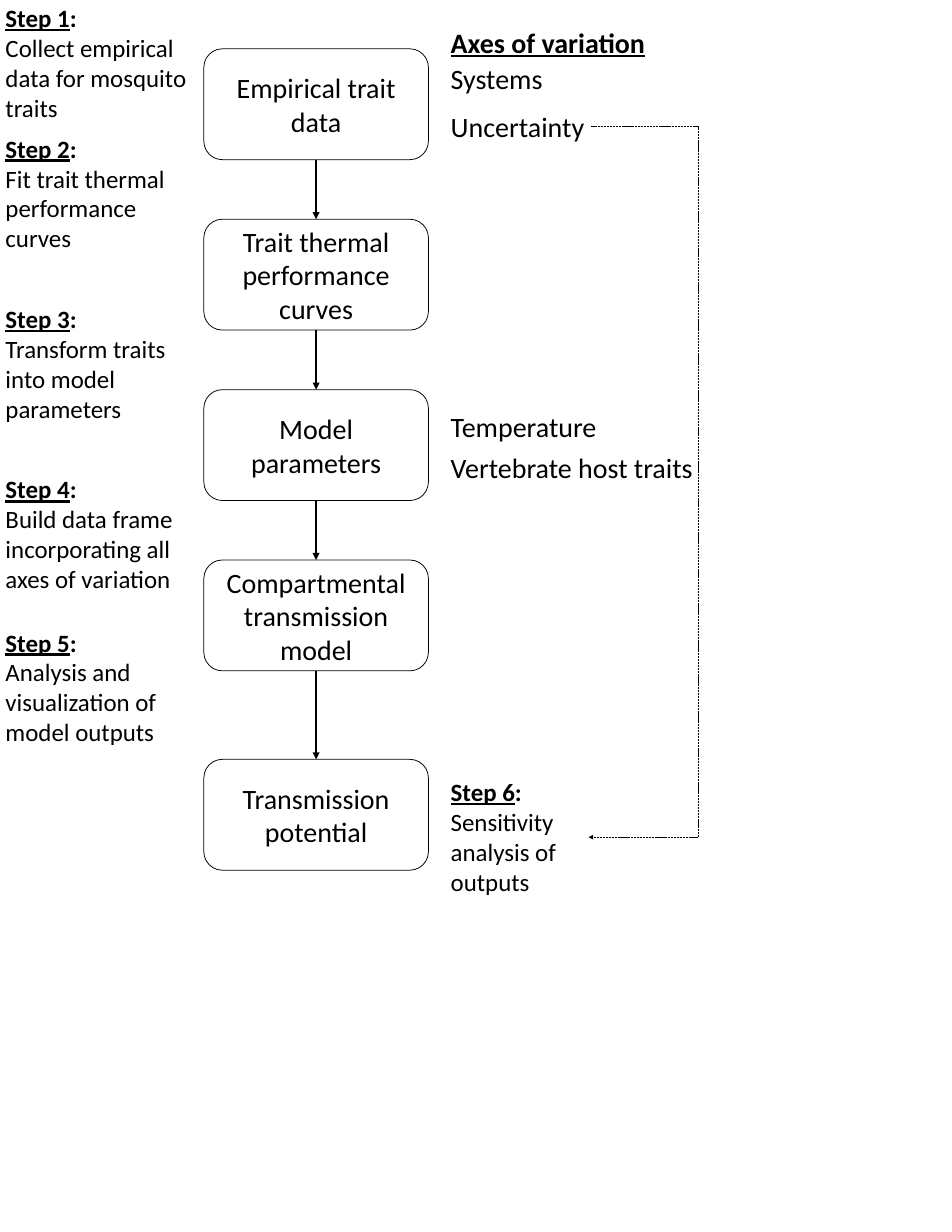
from dataclasses import dataclass

import pptx
import pptx.dml.color
import pptx.enum.dml
import pptx.enum.shapes
import pptx.enum.text
import pptx.oxml
import pptx.oxml.ns
import pptx.util

Pt = pptx.util.Pt
COLORS = {"ink": "000000"}
FONT = "Calibri"
AXIS_LEFT = 572.4
BOX = {"left": 262.1, "width": 288.7, "height": 142.5}
BOX_INSETS = {"margin_left": Pt(9.4), "margin_right": Pt(9.4),
              "margin_top": Pt(4.3), "margin_bottom": Pt(4.3)}
HEADING = {"bold": True, "underline": True}


@dataclass
class Stage:
    text: str
    top: float


@dataclass
class Step:
    number: int
    text: str
    top: float
    left: float = 0
    width: float = 254.2


@dataclass
class Label:
    text: str
    top: float
    width: float
    heading: bool = False


STAGES = [
    Stage("Empirical trait data", 62.8),
    Stage("Trait thermal performance curves", 281.9),
    Stage("Model parameters", 501),
    Stage("Compartmental transmission model", 720),
    Stage("Transmission potential", 976.3),
]
STEPS = [
    Step(1, "Collect empirical data for mosquito traits", 0),
    Step(2, "Fit trait thermal performance curves", 167.8),
    Step(3, "Transform traits into model parameters", 386.9),
    Step(4, "Build data frame incorporating all axes of variation", 606),
    Step(5, "Analysis and visualization of model outputs", 802.8),
    Step(6, "Sensitivity analysis of outputs", 995, AXIS_LEFT, 184.3),
]
LABELS = [
    Label("Axes of variation", 28.8, 288.7, heading=True),
    Label("Systems", 74.9, 133.9),
    Label("Uncertainty", 137.5, 187.9),
    Label("Temperature", 523.4, 203.8),
    Label("Vertebrate host traits", 575.3, 328.3),
]


def ink() -> pptx.dml.color.RGBColor:
    return pptx.dml.color.RGBColor.from_string(COLORS["ink"])


def add_run(p, text: str, size: float, **formats) -> None:
    r = p.add_run()
    r.text = text
    r.font.color.rgb = ink()
    for name, value in {"name": FONT, "size": Pt(size), **formats}.items():
        setattr(r.font, name, value)


def add_stage(s, stage: Stage):
    box = s.shapes.add_shape(
        pptx.enum.shapes.MSO_SHAPE.ROUNDED_RECTANGLE, Pt(BOX["left"]),
        Pt(stage.top), Pt(BOX["width"]), Pt(BOX["height"]))
    box.shadow.inherit = False
    box.fill.background()
    box.line.color.rgb = ink()
    box.line.width = Pt(1)
    tf = box.text_frame
    formats = {"word_wrap": True,
               "vertical_anchor": pptx.enum.text.MSO_ANCHOR.MIDDLE}
    for name, value in {**BOX_INSETS, **formats}.items():
        setattr(tf, name, value)
    p = tf.paragraphs[0]
    p.alignment = pptx.enum.text.PP_ALIGN.CENTER
    add_run(p, stage.text, 36)
    return box


def add_text_box(s, left: float, top: float, width: float, height: float,
                 wrap: bool):
    """Add a left-aligned box that grows with its text; return its paragraph."""
    sp = s.shapes.add_textbox(Pt(left), Pt(top), Pt(width), Pt(height))
    tf = sp.text_frame
    tf.word_wrap = wrap
    tf.auto_size = pptx.enum.text.MSO_AUTO_SIZE.SHAPE_TO_FIT_TEXT
    return tf.paragraphs[0]


def add_step(s, step: Step) -> None:
    p = add_text_box(s, step.left, step.top, step.width, 162.7, True)
    add_run(p, f"Step {step.number}", 32, **HEADING)
    add_run(p, ": ", 32, bold=True)
    p.add_line_break()
    add_run(p, step.text, 32)


def add_label(s, label: Label) -> None:
    p = add_text_box(s, AXIS_LEFT, label.top, label.width, 51,
                     label.heading)
    add_run(p, label.text, 36, **(HEADING if label.heading else {}))


def style_arrow(arrow, width: float) -> None:
    arrow.line.color.rgb = ink()
    arrow.line.width = Pt(width)
    ln = arrow.line._get_or_add_ln()
    tail = pptx.oxml.ns.qn("a:tailEnd")
    ln.append(ln.makeelement(tail, {"type": "triangle"}))
    props = arrow._element.spPr
    props.append(props.makeelement(pptx.oxml.ns.qn("a:effectLst"), {}))


def link_stages(s, upper, lower) -> None:
    arrow = s.shapes.add_connector(
        pptx.enum.shapes.MSO_CONNECTOR.STRAIGHT, 0, 0, 0, 0)
    arrow.begin_connect(upper, 2)
    arrow.end_connect(lower, 0)
    style_arrow(arrow, 3)


def add_uncertainty_loop(s) -> None:
    """Dashed elbow from Uncertainty out to the right and back to Step 6."""
    start, end, bend = 760.3, 756.7, 897.8
    loop = s.shapes.add_connector(
        pptx.enum.shapes.MSO_CONNECTOR.ELBOW,
        Pt(start), Pt(163), Pt(end), Pt(1076.4))
    loop.line.dash_style = pptx.enum.dml.MSO_LINE.SQUARE_DOT
    style_arrow(loop, 1)
    dash = loop._element.spPr.find(".//" + pptx.oxml.ns.qn("a:prstDash"))
    dash.set("val", "sysDash")
    ratio = round((start - bend) / (start - end) * 100000)
    geometry = loop._element.spPr.find(pptx.oxml.ns.qn("a:prstGeom"))
    guides = geometry.get_or_add_avLst()
    guides.append(guides.makeelement(
        pptx.oxml.ns.qn("a:gd"), {"name": "adj1", "fmla": f"val {ratio}"}))


def main() -> None:
    prs = pptx.Presentation()
    prs.slide_width, prs.slide_height = Pt(1224), Pt(1584)
    s = prs.slides.add_slide(prs.slide_layouts[6])
    boxes = [add_stage(s, stage) for stage in STAGES]
    for label in LABELS:
        add_label(s, label)
    for step in STEPS:
        add_step(s, step)
    for upper, lower in zip(boxes, boxes[1:]):
        link_stages(s, upper, lower)
    add_uncertainty_loop(s)
    prs.save("out.pptx")


if __name__ == "__main__":
    main()
